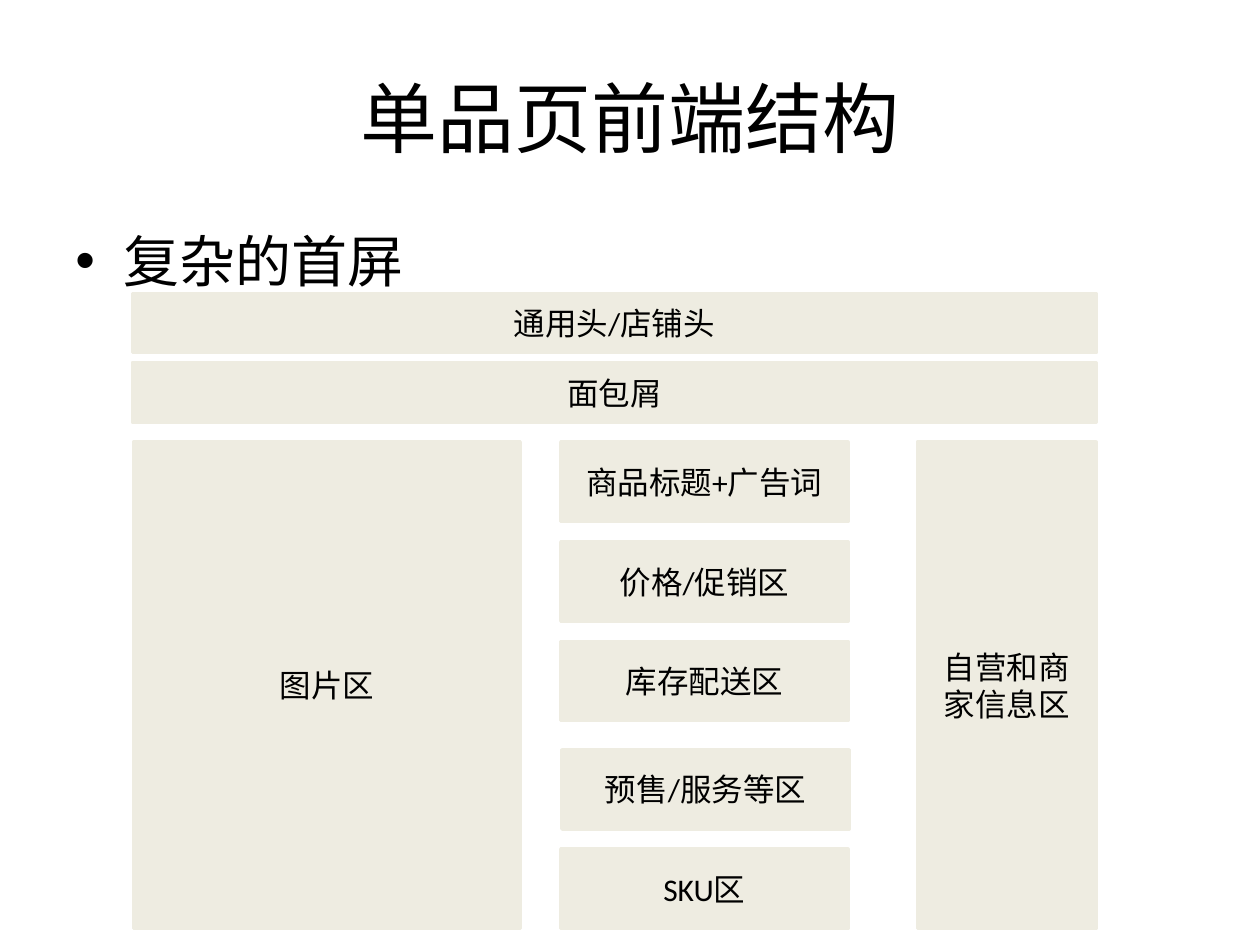
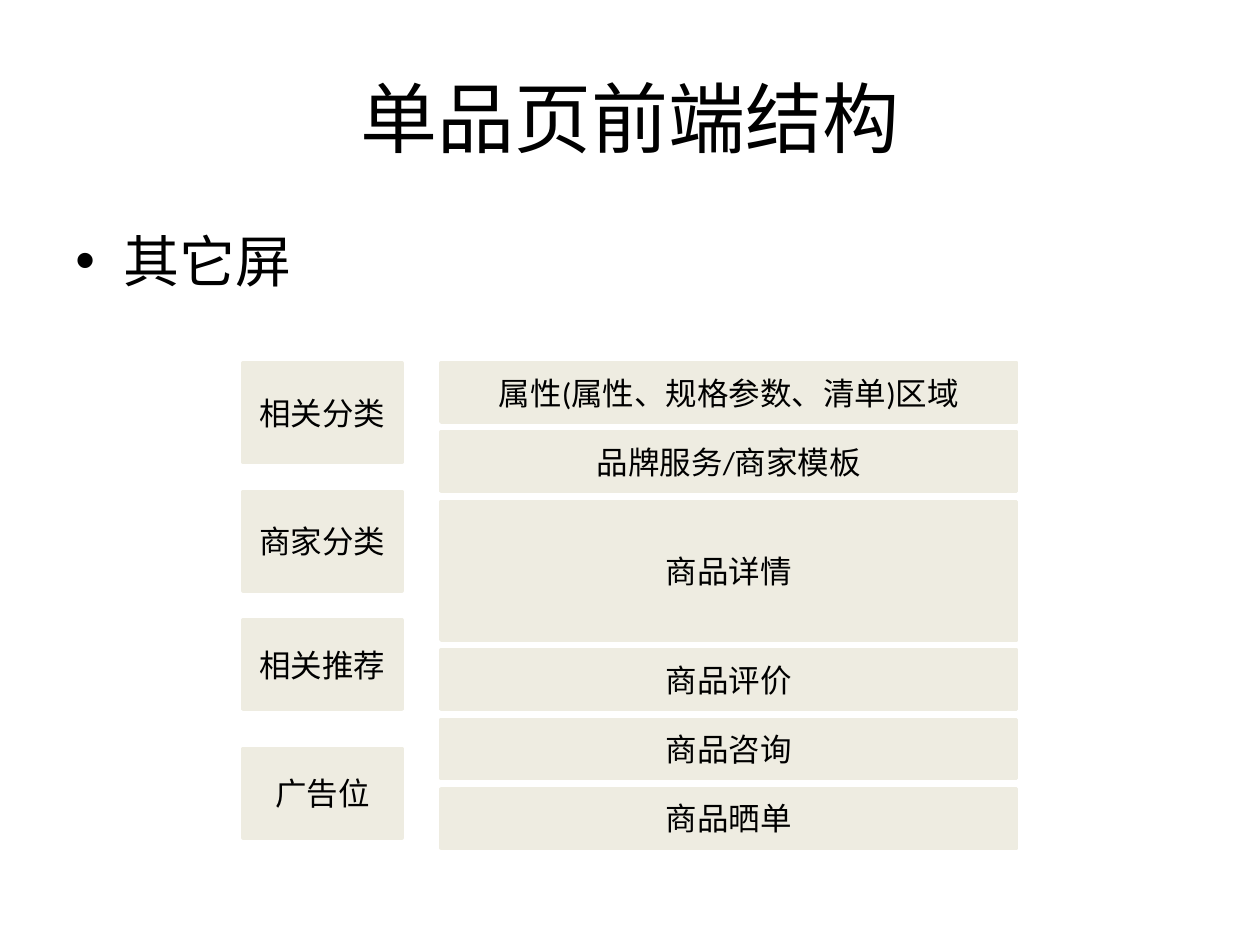
from pptx import Presentation
from pptx.dml.color import RGBColor
from pptx.enum import shapes, text
from pptx.oxml import parse_xml
from pptx.oxml.ns import nsdecls
from pptx.util import Inches, Pt

FONT = "Calibri"
INK = "000000"
PANEL = "EEECE1"
TITLE = "单品页前端结构"


def write(paragraph, content, size):
    """Add one run in the shared font and ink colour."""
    run = paragraph.add_run()
    run.text = content
    run.font.name = FONT
    run.font.size = Pt(size)
    run.font.color.rgb = RGBColor.from_string(INK)


# First screen: two full-width bars above three columns
first_screen = [
    (1.06, 3.51, 3.07, 3.86, "图片区"),
    (7.28, 3.51, 1.42, 3.86, "自营和商家信息区"),
]
for row, label in enumerate(["通用头/店铺头", "面包屑"]):
    first_screen.append((1.05, 2.33 + row * 0.55, 7.65, 0.47, label))
for row, label in enumerate(["商品标题+广告词", "价格/促销区", "库存配送区"]):
    first_screen.append((4.45, 3.51 + row * 0.79, 2.28, 0.63, label))
for row, (left, label) in enumerate([(4.46, "预售/服务等区"), (4.45, "SKU区")]):
    first_screen.append((left, 5.95 + row * 0.79, 2.28, 0.63, label))

# Other screens: evenly spaced side column, stacked main column
other_screens = []
sidebar = [("相关分类", 0.79), ("商家分类", 0.79), ("相关推荐", 0.71), ("广告位", 0.71)]
for row, (label, height) in enumerate(sidebar):
    other_screens.append((1.93, 2.88 + row * 1.02, 1.26, height, label))
main_column = [
    ("属性(属性、规格参数、清单)区域", 0.47),
    ("品牌服务/商家模板", 0.47),
    ("商品详情", 1.1),
    ("商品评价", 0.47),
    ("商品咨询", 0.47),
    ("商品晒单", 0.47),
]
top = 2.88
for label, height in main_column:
    other_screens.append((3.5, top, 4.57, height, label))
    top += height + 0.08

presentation = Presentation()
presentation.slide_width = Inches(10)
presentation.slide_height = Inches(7.5)
title_only = presentation.slide_layouts[5]

for heading, blocks in [("复杂的首屏", first_screen), ("其它屏", other_screens)]:
    slide = presentation.slides.add_slide(title_only)

    title = slide.shapes.title
    title.left, title.top = Inches(0.5), Inches(0.3)
    title.width, title.height = Inches(9), Inches(1.25)
    title.text_frame.vertical_anchor = text.MSO_ANCHOR.MIDDLE
    paragraph = title.text_frame.paragraphs[0]
    paragraph.alignment = text.PP_ALIGN.CENTER
    write(paragraph, TITLE, 44)

    body = slide.shapes.add_textbox(Inches(0.5), Inches(1.75), Inches(9), Inches(4.95))
    body.text_frame.word_wrap = True
    paragraph = body.text_frame.paragraphs[0]
    paragraph.space_before = Pt(6.4)
    properties = paragraph._p.get_or_add_pPr()
    properties.set("marL", str(Inches(0.38)))
    properties.set("indent", str(Inches(-0.38)))
    properties.append(parse_xml(f'<a:buFont {nsdecls("a")} typeface="Arial"/>'))
    properties.append(parse_xml(f'<a:buChar {nsdecls("a")} char="•"/>'))
    write(paragraph, heading, 32)

    for left, top, width, height, label in blocks:
        block = slide.shapes.add_shape(
            shapes.MSO_SHAPE.RECTANGLE,
            Inches(left), Inches(top), Inches(width), Inches(height),
        )
        block.shadow.inherit = False
        block.fill.solid()
        block.fill.fore_color.rgb = RGBColor.from_string(PANEL)
        block.line.color.rgb = RGBColor.from_string(PANEL)
        block.line.width = Pt(2)
        block.text_frame.word_wrap = True
        block.text_frame.vertical_anchor = text.MSO_ANCHOR.MIDDLE
        paragraph = block.text_frame.paragraphs[0]
        paragraph.alignment = text.PP_ALIGN.CENTER
        write(paragraph, label, 18)

presentation.save("out.pptx")
